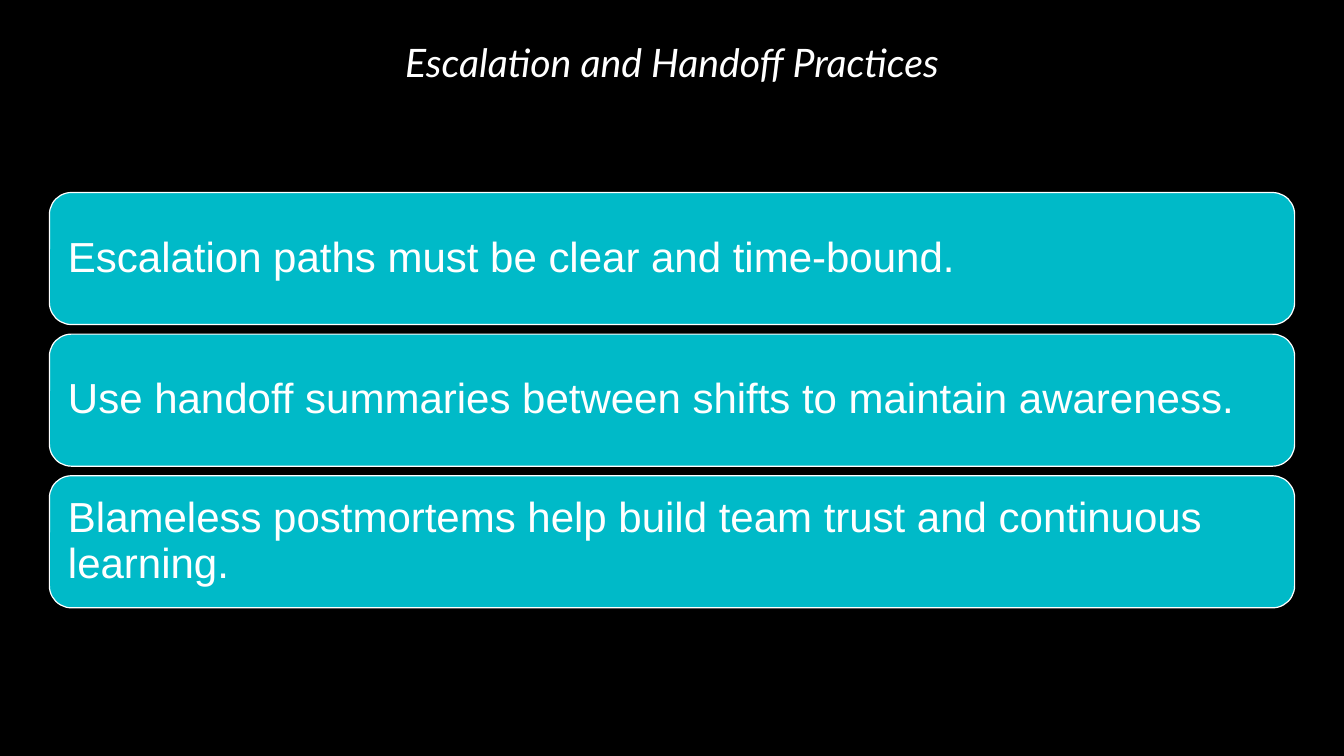
import pptx
import pptx.util
import pptx.dml.color
import pptx.enum.shapes
import pptx.enum.text

Inches, Pt = pptx.util.Inches, pptx.util.Pt
RGBColor = pptx.dml.color.RGBColor
ALIGN = pptx.enum.text.PP_ALIGN
ANCHOR = pptx.enum.text.MSO_ANCHOR

BLACK = RGBColor(0x00, 0x00, 0x00)
WHITE = RGBColor(0xFF, 0xFF, 0xFF)
TEAL = RGBColor(0x00, 0xBA, 0xC8)

# Card grid, in inches
LEFT, WIDTH = 0.49, 12.35
TOP, HIGH, STEP = 1.91, 1.31, 1.405

CARDS = [
    "Escalation paths must be clear and time-bound.",
    "Use handoff summaries between shifts to maintain awareness.",
    "Blameless postmortems help build team trust and continuous learning.",
]


def write(frame, text, font, size, align, anchor, inset):
    frame.word_wrap = True
    frame.auto_size = pptx.enum.text.MSO_AUTO_SIZE.NONE
    frame.vertical_anchor = anchor
    frame.margin_left = frame.margin_right = Inches(inset)
    frame.margin_top = frame.margin_bottom = Inches(inset)
    frame.text = text
    para = frame.paragraphs[0]
    para.alignment = align
    para.line_spacing = 0.9
    para.font.name = font
    para.font.size = Pt(size)
    para.font.color.rgb = WHITE
    return para


# Slide and background
deck = pptx.Presentation()
deck.slide_width, deck.slide_height = Inches(13.33), Inches(7.5)
slide = deck.slides.add_slide(deck.slide_layouts[5])
slide.background.fill.solid()
slide.background.fill.fore_color.rgb = BLACK

# Title
title = slide.shapes.title
title.left, title.top = Inches(LEFT), Inches(0.43)
title.width, title.height = Inches(WIDTH), Inches(1.25)
head = write(title.text_frame, "Escalation and Handoff Practices",
             "Lato", 28, ALIGN.CENTER, ANCHOR.TOP, 0)
head.font.italic = True

# Stacked cards
for row, text in enumerate(CARDS):
    card = slide.shapes.add_shape(
        pptx.enum.shapes.MSO_SHAPE.ROUNDED_RECTANGLE,
        Inches(LEFT), Inches(TOP + row * STEP), Inches(WIDTH), Inches(HIGH))
    card.shadow.inherit = False
    card.fill.solid()
    card.fill.fore_color.rgb = TEAL
    card.line.color.rgb = WHITE
    card.line.width = Pt(0.85)
    write(card.text_frame, text, "Arial", 30, ALIGN.LEFT, ANCHOR.MIDDLE, 0.12)

deck.save("out.pptx")
